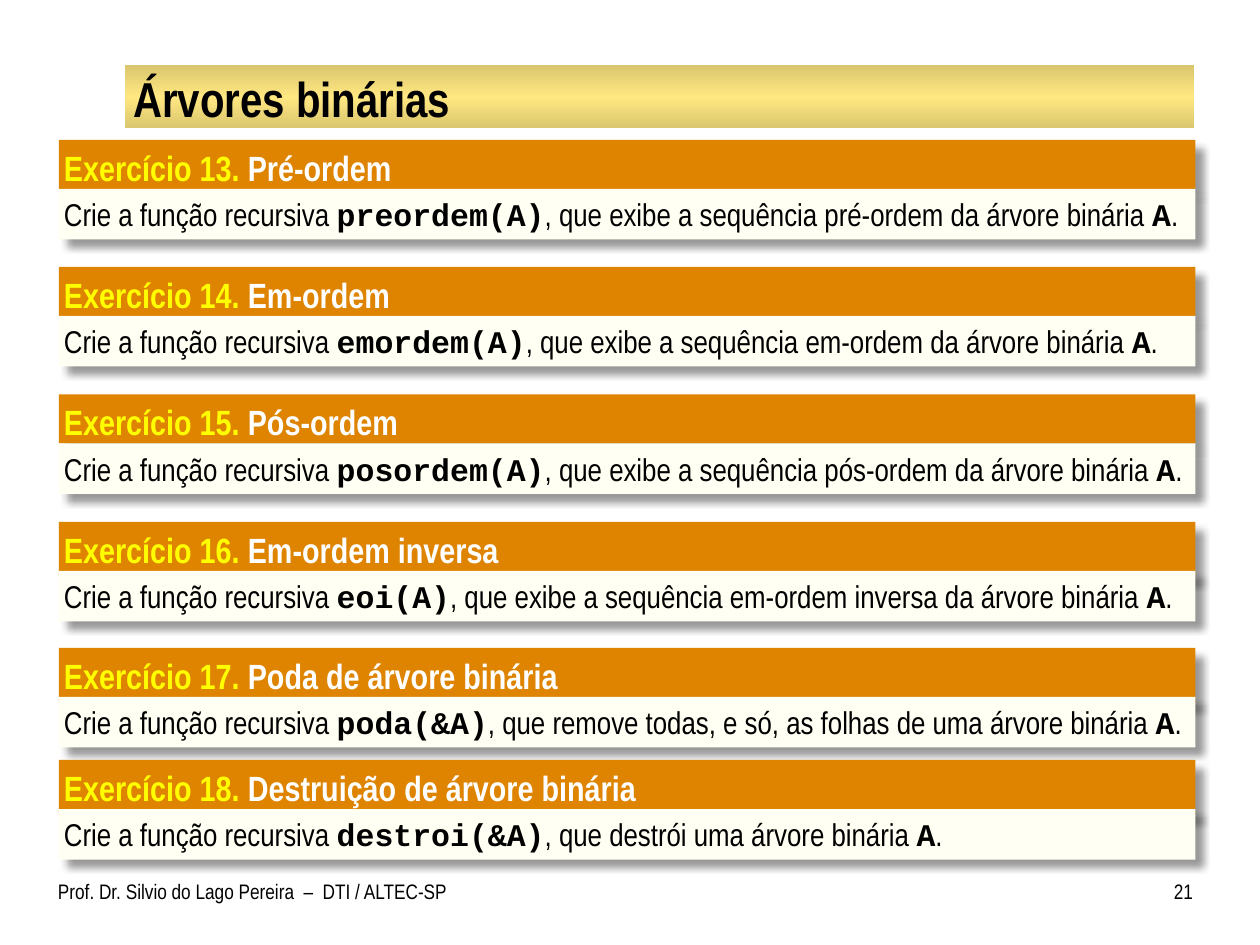
import copy

import pptx
import pptx.dml.color
import pptx.enum.shapes
import pptx.enum.text
import pptx.oxml
import pptx.oxml.ns
import pptx.util

Cm, Pt = pptx.util.Cm, pptx.util.Pt
ALIGN = pptx.enum.text.PP_ALIGN
ANCHOR = pptx.enum.text.MSO_ANCHOR
FIT = pptx.enum.text.MSO_AUTO_SIZE

COLORS = {
    "gold_edge": "DAC66E", "gold_center": "FFE781",
    "heading": "DE8400", "statement": "FFFFF3", "shadow": "000000",
    "number": "FFFF00", "topic": "FFFFFF", "text": "000000",
}
SANS, MONO = "Arial Narrow", "Courier New"
LEFT, WIDTH = 1.19, 22.91
HEADING_STEP, STATEMENT_HEIGHT = 0.99, 1.02

# top, heading height, number, topic, function, wording before the final "A"
EXERCISES = [
    (2.82, 0.99, 13, "Pré-ordem", "preordem(A)",
     "que exibe a sequência pré-ordem da árvore binária"),
    (5.38, 0.99, 14, "Em-ordem", "emordem(A)",
     "que exibe a sequência em-ordem da árvore binária"),
    (7.95, 0.99, 15, "Pós-ordem", "posordem(A)",
     "que exibe a sequência pós-ordem da árvore binária"),
    (10.52, 1.11, 16, "Em-ordem inversa", "eoi(A)",
     "que exibe a sequência em-ordem inversa da árvore binária"),
    (13.06, 1.11, 17, "Poda de árvore binária", "poda(&A)",
     "que remove todas, e só, as folhas de uma árvore binária"),
    (15.32, 1.11, 18, "Destruição de árvore binária", "destroi(&A)",
     "que destrói uma árvore binária"),
]


def rgb(name):
    return pptx.dml.color.RGBColor.from_string(COLORS[name])


def add_run(paragraph, text, size, color="text", font=SANS, bold=False):
    run = paragraph.add_run()
    run.text = text
    run.font.name = font
    run.font.size = Pt(size)
    run.font.bold = bold
    run.font.color.rgb = rgb(color)


def set_frame(shape, margins, anchor=ANCHOR.TOP, fit=FIT.NONE, align=ALIGN.LEFT):
    frame = shape.text_frame
    frame.word_wrap = True
    frame.auto_size = fit
    frame.vertical_anchor = anchor
    (frame.margin_left, frame.margin_top,
     frame.margin_right, frame.margin_bottom) = [Cm(m) for m in margins]
    paragraph = frame.paragraphs[0]
    paragraph.alignment = align
    return paragraph


def add_rectangle(slide, left, top, width, height):
    rectangle = slide.shapes.add_shape(
        pptx.enum.shapes.MSO_SHAPE.RECTANGLE,
        Cm(left), Cm(top), Cm(width), Cm(height))
    rectangle.shadow.inherit = False
    rectangle.line.fill.background()
    return rectangle


def add_shadow(shape):
    effects = shape._element.spPr.find(pptx.oxml.ns.qn("a:effectLst"))
    effects.append(pptx.oxml.parse_xml(
        f'<a:outerShdw {pptx.oxml.ns.nsdecls("a")} blurRad="{Pt(4)}" dist="{Pt(6)}"'
        ' dir="2700000" algn="tl" rotWithShape="0">'
        f'<a:srgbClr val="{COLORS["shadow"]}"><a:alpha val="40000"/></a:srgbClr>'
        '</a:outerShdw>'))


def add_panel(slide, top, height, color, margins, align):
    panel = add_rectangle(slide, LEFT, top, WIDTH, height)
    panel.fill.solid()
    panel.fill.fore_color.rgb = rgb(color)
    add_shadow(panel)
    return set_frame(panel, margins, fit=FIT.SHAPE_TO_FIT_TEXT, align=align)


def add_exercise(slide, top, height, number, topic, function, wording):
    # Orange heading
    heading = add_panel(slide, top, height, "heading",
                        (0.1, 0.13, 0.25, 0.13), ALIGN.LEFT)
    add_run(heading, f"Exercício {number}.", 20, "number", bold=True)
    add_run(heading, f" {topic}", 20, "topic", bold=True)

    # Statement below it
    statement = add_panel(slide, top + HEADING_STEP, STATEMENT_HEIGHT, "statement",
                          (0.1, 0.13, 0.1, 0.13), ALIGN.JUSTIFY)
    statement.space_before = Pt(6)
    add_run(statement, "Crie a função recursiva ", 18)
    add_run(statement, function, 18, font=MONO, bold=True)
    add_run(statement, f", {wording} ", 18)
    add_run(statement, "A", 18, font=MONO, bold=True)
    add_run(statement, ".", 18)


def add_title_band(slide):
    band = add_rectangle(slide, 2.52, 1.32, 21.56, 1.27)
    band.fill.gradient()
    band.fill.gradient_angle = 90
    stops = band.fill.gradient_stops
    for stop, position in zip(stops, (0, 1)):
        stop.color.rgb = rgb("gold_edge")
        stop.position = position
    first = stops[0]._gs
    first.addnext(copy.deepcopy(first))
    center = band.fill.gradient_stops[1]
    center.color.rgb = rgb("gold_center")
    center.position = 0.5


def set_title(slide, text):
    title = slide.shapes.title
    title.left, title.top, title.width, title.height = (
        Cm(2.54), Cm(1.37), Cm(21.51), Cm(1.19))
    paragraph = set_frame(title, (0.15, 0.03, 0.15, 0.03), ANCHOR.MIDDLE)
    add_run(paragraph, text, 28, bold=True)


def add_footer(slide, text, left, width, margins, align):
    box = slide.shapes.add_textbox(Cm(left), Cm(17.58), Cm(width), Cm(1.07))
    add_run(set_frame(box, margins, align=align), text, 12)


def main():
    deck = pptx.Presentation()
    deck.slide_width, deck.slide_height = Cm(25.4), Cm(19.05)
    slide = deck.slides.add_slide(deck.slide_layouts[5])

    # Title on its gold band
    add_title_band(slide)
    title = slide.shapes.title._element
    title.getparent().append(title)
    set_title(slide, "Árvores binárias")

    # Exercises
    for exercise in EXERCISES:
        add_exercise(slide, *exercise)

    # Footer
    add_footer(slide, "Prof. Dr. Silvio do Lago Pereira  –  DTI / ALTEC-SP",
               1.17, 8.31, (0, 0.13, 0.25, 0.13), ALIGN.LEFT)
    add_footer(slide, "21", 23.06, 0.99, (0.25, 0.13, 0, 0.13), ALIGN.RIGHT)

    deck.save("out.pptx")


if __name__ == "__main__":
    main()
